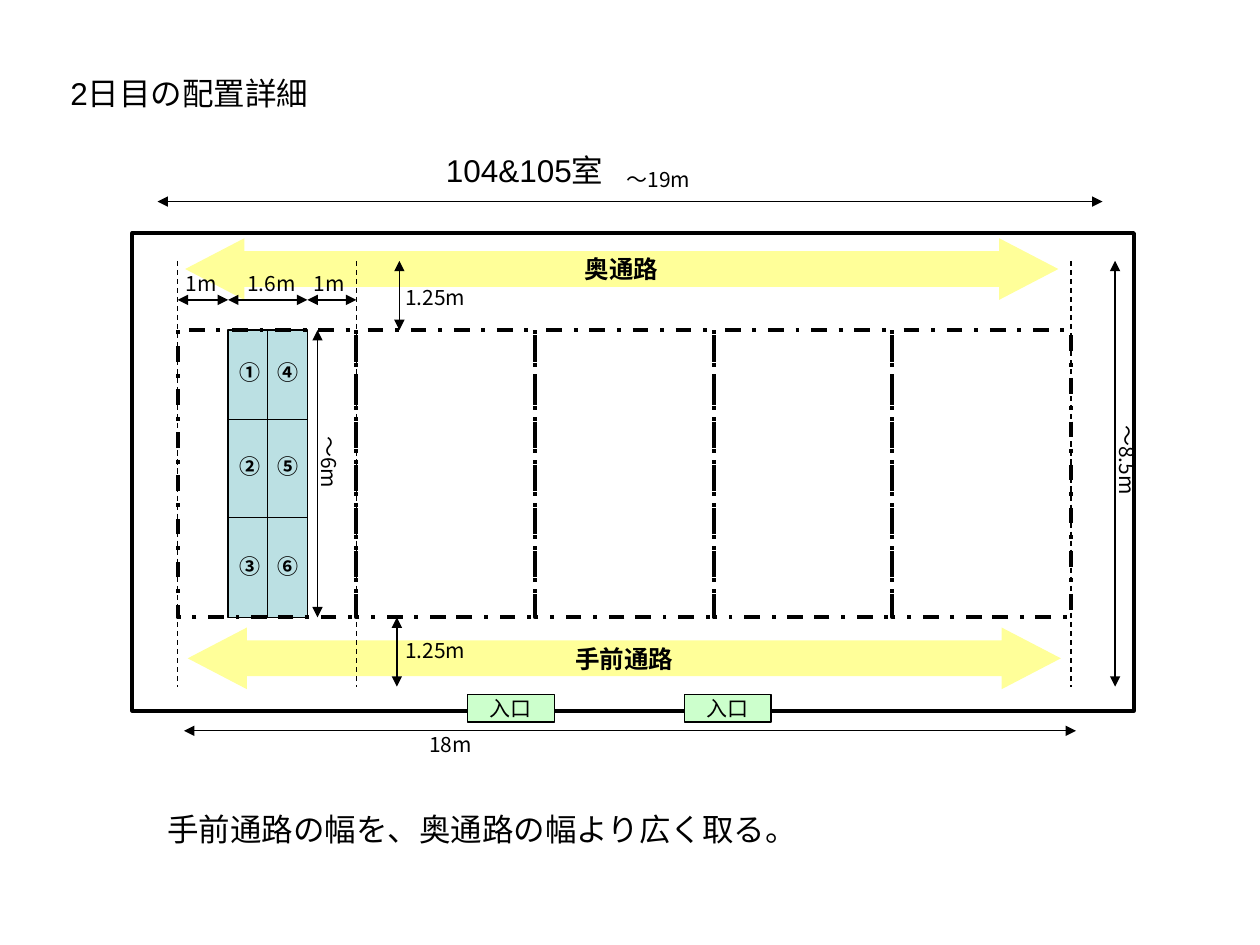
from dataclasses import dataclass
from typing import NamedTuple

from lxml.etree import SubElement
from pptx import Presentation
from pptx.dml.color import RGBColor
from pptx.enum.dml import MSO_LINE_DASH_STYLE as DASH
from pptx.enum.shapes import MSO_CONNECTOR, MSO_SHAPE
from pptx.enum.text import MSO_ANCHOR, MSO_AUTO_SIZE, PP_ALIGN
from pptx.oxml.ns import qn
from pptx.util import Inches, Pt


class Box(NamedTuple):
    """Left, top, width and height in inches."""
    x: float
    y: float
    w: float
    h: float


@dataclass(frozen=True)
class Theme:
    """Colours, fonts, type sizes and line widths."""
    ink: str = "000000"
    aisle: str = "FFFF99"
    booth: str = "BBE0E3"
    door: str = "CCFFCC"
    body_font: str = "Arial"
    label_font: str = "Noto Sans CJK JP"
    title: int = 18
    aisle_text: int = 14
    label: int = 12
    thin: float = 0.75
    thick: float = 2.25


THEME = Theme()


def rgb(value):
    """Return a colour object for a hex string."""
    return RGBColor.from_string(value)


def write(tf, text, size, font, bold=False, align=PP_ALIGN.CENTER):
    """Put one unwrapped line of text in a frame."""
    tf.word_wrap = False
    tf.text = text
    p = tf.paragraphs[0]
    p.alignment = align
    r = p.runs[0]
    r.font.size, r.font.name, r.font.bold = Pt(size), font, bold
    r.font.color.rgb = rgb(THEME.ink)
    SubElement(r._r.get_or_add_rPr(), qn("a:ea"), typeface=THEME.label_font)


def add_label(s, text, box, rotation=0, bold=False):
    """Add a small label without margins."""
    sp = s.shapes.add_textbox(*map(Inches, box))
    sp.rotation = rotation
    tf = sp.text_frame
    tf.margin_left = tf.margin_right = tf.margin_top = tf.margin_bottom = 0
    tf.auto_size = MSO_AUTO_SIZE.SHAPE_TO_FIT_TEXT
    write(tf, text, THEME.label, THEME.label_font, bold)


def add_heading(s, text, box):
    """Add a left-aligned line of large text."""
    tf = s.shapes.add_textbox(*map(Inches, box)).text_frame
    tf.auto_size = MSO_AUTO_SIZE.SHAPE_TO_FIT_TEXT
    write(tf, text, THEME.title, THEME.body_font, align=PP_ALIGN.LEFT)


def add_panel(s, box, fill=None, width=None, dash=None, kind=MSO_SHAPE.RECTANGLE):
    """Add a preset shape with an optional fill and outline."""
    sp = s.shapes.add_shape(kind, *map(Inches, box))
    sp.shadow.inherit = False
    if fill:
        sp.fill.solid()
        sp.fill.fore_color.rgb = rgb(fill)
    else:
        sp.fill.background()
    if width:
        sp.line.color.rgb = rgb(THEME.ink)
        sp.line.width = Pt(width)
        sp.line.dash_style = dash
    else:
        sp.line.fill.background()
    return sp


def add_line(s, x1, y1, x2, y2, dash=None, arrows=False):
    """Add a thin line, with arrowheads at both ends if asked."""
    cn = s.shapes.add_connector(MSO_CONNECTOR.STRAIGHT, *map(Inches, (x1, y1, x2, y2)))
    cn.line.color.rgb = rgb(THEME.ink)
    cn.line.width = Pt(THEME.thin)
    cn.line.dash_style = dash
    if arrows:
        ln = cn.line._get_or_add_ln()
        for end in ("a:headEnd", "a:tailEnd"):
            SubElement(ln, qn(end), type="triangle")
    SubElement(cn._element.spPr, qn("a:effectLst"))


def add_dimension(s, text, ends, box, rotation=0):
    """Add a double-headed measuring line and its label."""
    add_line(s, *ends, arrows=True)
    add_label(s, text, box, rotation)


def add_aisle(s, text, box):
    """Add a wide double arrow marking an aisle."""
    sp = add_panel(s, box, THEME.aisle, kind=MSO_SHAPE.LEFT_RIGHT_ARROW)
    sp.adjustments[0], sp.adjustments[1] = 0.58, 0.96
    tf = sp.text_frame
    tf.margin_left = tf.margin_right = 0
    tf.vertical_anchor = MSO_ANCHOR.MIDDLE
    write(tf, text, THEME.aisle_text, THEME.body_font, bold=True)


def add_door(s, box):
    """Add an entrance on the front wall."""
    sp = add_panel(s, box, THEME.door, THEME.thin)
    sp.text_frame.vertical_anchor = MSO_ANCHOR.MIDDLE
    write(sp.text_frame, "入口", THEME.label, THEME.body_font)


def add_room(s, box):
    """Draw the aisles, the walls and the outer measurements."""
    x, y, w, h = box
    add_aisle(s, "奥通路", Box(x + 0.42, y + 0.04, 6.93, 0.49))
    add_aisle(s, "手前通路", Box(x + 0.44, y + 3.13, 6.93, 0.49))
    add_panel(s, box, width=THEME.thick)
    add_dimension(s, "～19m", (x + 0.2, y - 0.25, x + w - 0.25, y - 0.25),
                  Box(x + 3.9, y - 0.53, 0.55, 0.2))
    add_dimension(s, "～8.5m", (x + w - 0.15, y + 0.22, x + w - 0.15, y + h - 0.19),
                  Box(x + w - 0.35, y + 1.7, 0.6, 0.2), 90)
    add_dimension(s, "18m", (x + 0.41, y + h + 0.16, x + w - 0.46, y + h + 0.16),
                  Box(x + 2.35, y + h + 0.17, 0.35, 0.2))


def add_booth(s, box):
    """Draw the numbered booth block, two columns by three rows."""
    x, y, w, h = box
    add_panel(s, box, THEME.booth, THEME.thin)
    add_line(s, x + w / 2, y, x + w / 2, y + h)
    for dy in (0.71, 1.49):
        add_line(s, x, y + dy, x + w, y + dy)
    for column, dx in zip(("①②③", "④⑤⑥"), (0.09, 0.39)):
        for number, dy in zip(column, (0.23, 0.98, 1.77)):
            add_label(s, number, Box(x + dx, y + dy, 0.14, 0.2), bold=True)
    add_dimension(s, "～6m", (x + w + 0.08, y, x + w + 0.08, y + h),
                  Box(x + w - 0.05, y + 0.95, 0.46, 0.2), 90)


def add_bays(s, box, count=5, aisle=0.55):
    """Draw the equal bays, their guides and the inner measurements."""
    x, y, w, h = box
    bay, bottom = w / count, y + h
    booth = Box(x + 0.4, y, 0.63, h)
    add_booth(s, booth)
    stops = (x, booth.x, booth.x + booth.w, x + bay)
    labels = (("1m", 0.06, 0.25), ("1.6m", 0.15, 0.39), ("1m", 0.05, 0.25))
    for (text, dx, width), start, end in zip(labels, stops, stops[1:]):
        add_dimension(s, text, (start, y - 0.24, end, y - 0.24),
                      Box(start + dx, y - 0.47, width, 0.2))
    for at, top, label_y in ((x + 1.76, y - aisle, y - 0.36),
                             (x + 1.74, bottom, bottom + 0.16)):
        add_dimension(s, "1.25m", (at, top, at, top + aisle),
                      Box(x + 1.8, label_y, 0.49, 0.2))
    for i in range(count):
        add_panel(s, Box(x + i * bay, y, bay, h), width=THEME.thick, dash=DASH.DASH_DOT)
    for at in (x, x + bay, x + w):
        add_line(s, at, y - aisle, at, bottom + aisle, dash=DASH.DASH)


def main():
    """Build the floor plan slide."""
    prs = Presentation()
    prs.slide_width, prs.slide_height = Inches(10), Inches(7.5)
    s = prs.slides.add_slide(prs.slide_layouts[6])
    add_room(s, Box(1.05, 1.85, 7.95, 3.79))
    add_bays(s, Box(1.41, 2.62, 7.09, 2.28))
    add_heading(s, "2日目の配置詳細", Box(0.46, 0.54, 2.15, 0.4))
    add_heading(s, "104&105室", Box(3.44, 1.15, 1.51, 0.4))
    for x in (3.71, 5.43):
        add_door(s, Box(x, 5.51, 0.69, 0.22))
    add_heading(s, "手前通路の幅を、奥通路の幅より広く取る。", Box(1.23, 6.38, 5.2, 0.4))
    prs.save("out.pptx")


if __name__ == "__main__":
    main()
